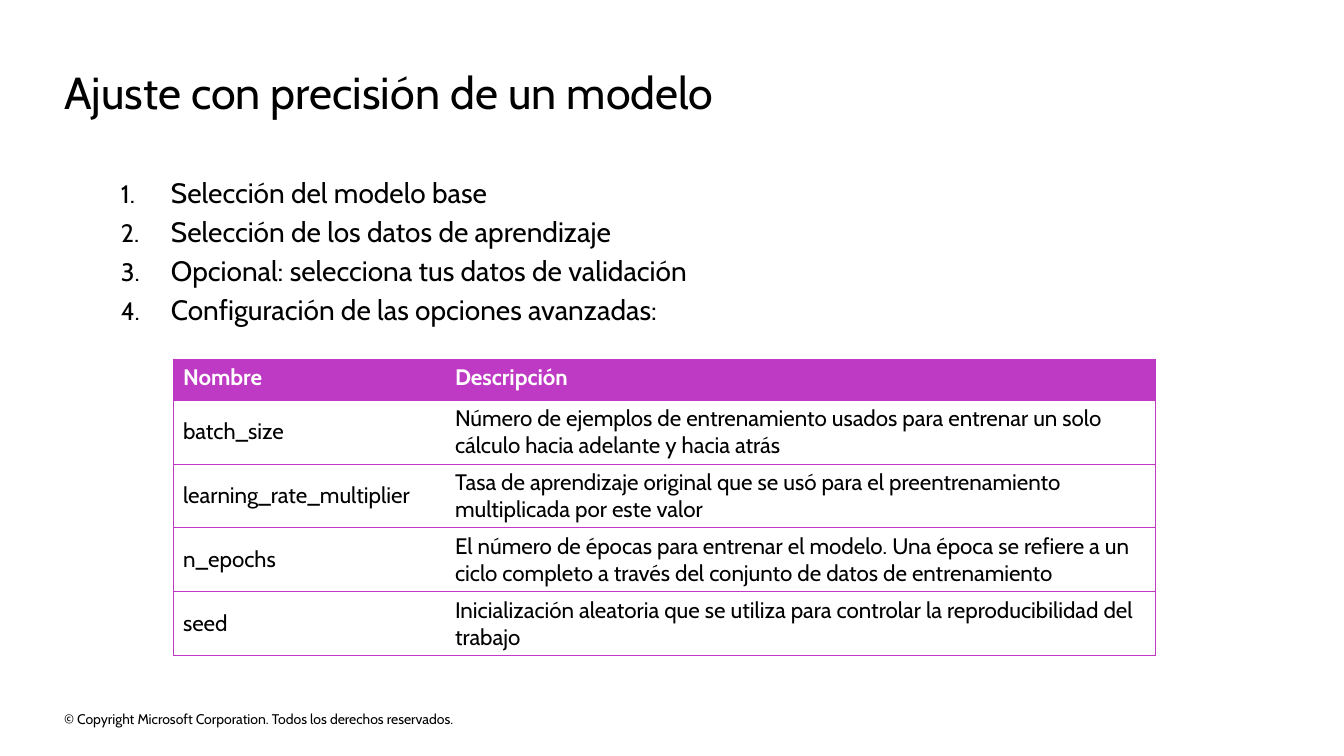
"""Build the slide on fine-tuning a model, with its steps and options table."""
from lxml.etree import SubElement
from pptx import Presentation
from pptx.dml.color import RGBColor
from pptx.enum.text import MSO_ANCHOR
from pptx.oxml.ns import qn
from pptx.util import Emu, Pt

SCALE = 914400 / 100.8
PURPLE, BLACK, WHITE = "BF3AC4", "000000", "FFFFFF"
PLAIN = "{2D5ABB26-0587-4C30-8999-92F81FD0307C}"


def px(n):
    return Emu(round(n * SCALE))


def write(par, text, size, color=BLACK, bold=False):
    run = par.add_run()
    run.text = text
    run.font.name = "Cabin"
    run.font.size = Pt(size)
    run.font.bold = bold
    run.font.color.rgb = RGBColor.from_string(color)


deck = Presentation()
deck.slide_width, deck.slide_height = px(1344), px(756)
slide = deck.slides.add_slide(deck.slide_layouts[6])

title = ["Ajuste con precisión de un modelo"]
steps = [
    "Selección del modelo base",
    "Selección de los datos de aprendizaje",
    "Opcional: selecciona tus datos de validación",
    "Configuración de las opciones avanzadas:",
]
notice = ["© Copyright Microsoft Corporation. Todos los derechos reservados."]

blocks = [
    (64, 65, 1214, 54, title, 32, MSO_ANCHOR.TOP),
    (121, 175, 1158, 154, steps, 20, MSO_ANCHOR.TOP),
    (64, 708, 458, 22, notice, 10, MSO_ANCHOR.MIDDLE),
]
for left, top, width, height, lines, size, anchor in blocks:
    box = slide.shapes.add_textbox(px(left), px(top), px(width), px(height))
    frame = box.text_frame
    frame.word_wrap = True
    frame.vertical_anchor = anchor
    frame.margin_left = frame.margin_right = 0
    frame.margin_top = frame.margin_bottom = 0
    for i, line in enumerate(lines):
        par = frame.paragraphs[0] if i == 0 else frame.add_paragraph()
        if i:
            par.space_before = Pt(4)
        if lines is steps:
            props = par._p.get_or_add_pPr()
            props.set("marL", str(px(50)))
            props.set("indent", str(-px(50)))
            SubElement(props, qn("a:buSzPct"), val="90000")
            SubElement(props, qn("a:buFont"), typeface="Cabin")
            SubElement(props, qn("a:buAutoNum"), type="arabicPeriod")
        write(par, line, size)

rows = [
    ("Nombre", "Descripción"),
    ("batch_size", "Número de ejemplos de entrenamiento usados para entrenar un solo cálculo hacia adelante y hacia atrás"),
    ("learning_rate_multiplier", "Tasa de aprendizaje original que se usó para el preentrenamiento multiplicada por este valor"),
    ("n_epochs", "El número de épocas para entrenar el modelo. Una época se refiere a un ciclo completo a través del conjunto de datos de entrenamiento"),
    ("seed", "Inicialización aleatoria que se utiliza para controlar la reproducibilidad del trabajo"),
]
table = slide.shapes.add_table(len(rows), 2, px(173), px(359), px(983), px(297)).table
table._tbl.tblPr.find(qn("a:tableStyleId")).text = PLAIN
table.horz_banding = False
for col, width in zip(table.columns, (272, 711)):
    col.width = px(width)

for r, row in enumerate(rows):
    head = r == 0
    table.rows[r].height = px(41 if head else 64)
    for c, text in enumerate(row):
        cell = table.cell(r, c)
        if c == 0 and not head:
            cell.vertical_anchor = MSO_ANCHOR.MIDDLE
        write(cell.text_frame.paragraphs[0], text, 16, WHITE if head else BLACK, head)
        props = cell._tc.get_or_add_tcPr()
        for side in ("lnR" if c else "lnL", "lnT", "lnB"):
            edge = SubElement(props, qn("a:" + side), w=str(Pt(0.75)))
            paint = SubElement(edge, qn("a:solidFill"))
            SubElement(paint, qn("a:srgbClr"), val=PURPLE)
        cell.fill.solid()
        cell.fill.fore_color.rgb = RGBColor.from_string(PURPLE if head else WHITE)

deck.save("out.pptx")
